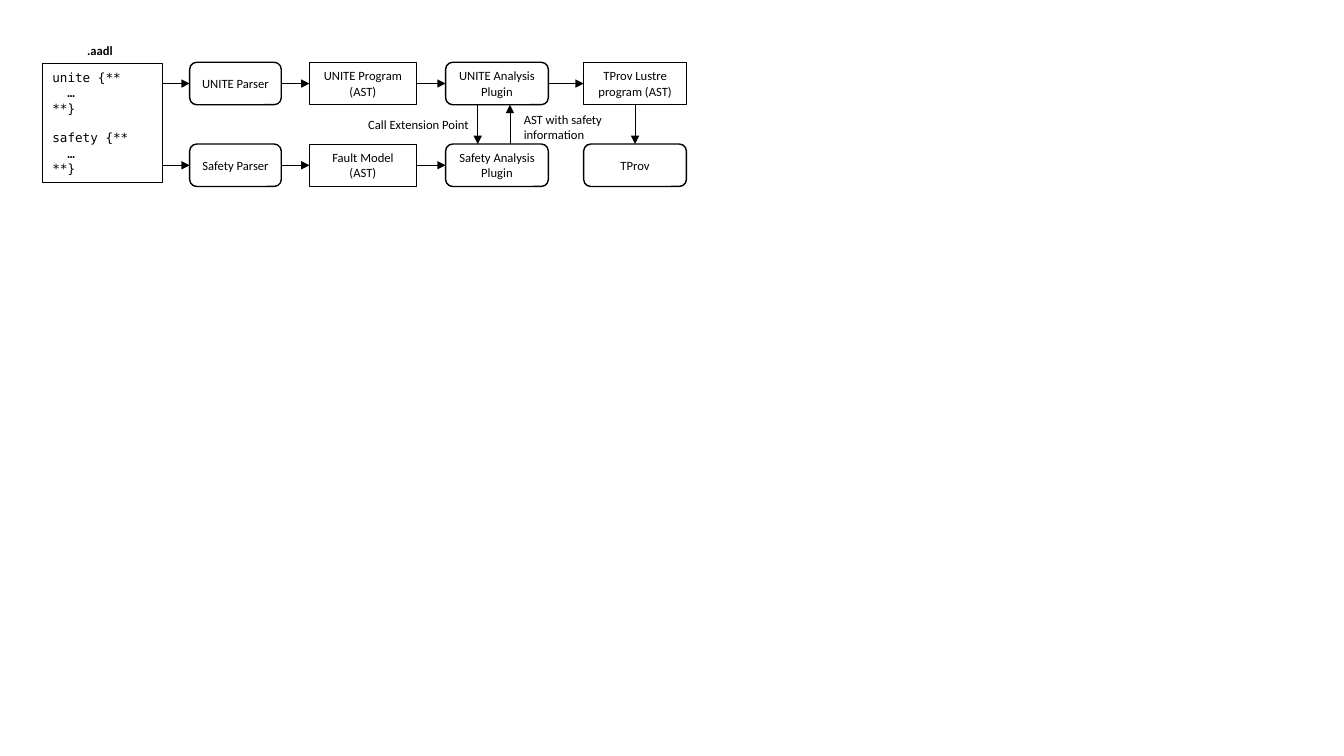
"""Builds the tool flow slide from the .aadl file to the TProv checker."""
from dataclasses import dataclass
from itertools import pairwise

from lxml import etree
from pptx import Presentation
from pptx.dml.color import RGBColor
from pptx.enum.shapes import MSO_CONNECTOR, MSO_SHAPE
from pptx.enum.text import MSO_ANCHOR, MSO_AUTO_SIZE, PP_ALIGN
from pptx.oxml.ns import qn
from pptx.shapes.autoshape import Shape
from pptx.shapes.connector import Connector
from pptx.slide import Slide
from pptx.text.text import TextFrame
from pptx.util import Cm, Pt

RECTANGLE, ROUNDED = MSO_SHAPE.RECTANGLE, MSO_SHAPE.ROUNDED_RECTANGLE
STRAIGHT = MSO_CONNECTOR.STRAIGHT
MIDDLE, TOP = MSO_ANCHOR.MIDDLE, MSO_ANCHOR.TOP
LEFT, CENTER, RIGHT = PP_ALIGN.LEFT, PP_ALIGN.CENTER, PP_ALIGN.RIGHT
FIT_TEXT = MSO_AUTO_SIZE.SHAPE_TO_FIT_TEXT
TOP_SITE, LEFT_SITE, BOTTOM_SITE, RIGHT_SITE = range(4)


@dataclass(frozen=True)
class Theme:
    ink: RGBColor = RGBColor(0, 0, 0)
    body_font: str = "Calibri"
    code_font: str = "DejaVu Sans Mono"
    text_size: Pt = Pt(9)
    thin: Pt = Pt(0.5)
    thick: Pt = Pt(1)
    code_indent: Pt = Pt(10.8)
    code_gap: Pt = Pt(10.5)


@dataclass(frozen=True)
class Column:
    left: float
    width: float


@dataclass(frozen=True)
class Step:
    text: str
    column: Column
    is_tool: bool


@dataclass(frozen=True)
class Label:
    text: str
    left: float
    top: float
    width: float
    height: float
    align: PP_ALIGN
    bold: bool = False


@dataclass(frozen=True)
class CodeLine:
    text: str
    indented: bool = False
    starts_block: bool = False


THEME = Theme()
SOURCE_LEFT, SOURCE_TOP, SOURCE_WIDTH, SOURCE_HEIGHT = 1.07, 1.6, 3.02, 3.0
STEP_HEIGHT = 1.07
UNITE_TOP, SAFETY_TOP = 1.57, 3.63
PARSER, MODEL = Column(4.78, 2.31), Column(7.8, 2.69)
PLUGIN, CHECKER = Column(11.23, 2.59), Column(14.71, 2.59)
CALL_X, RETURN_X = 12.04, 12.85

UNITE_STEPS = [
    Step("UNITE Parser", PARSER, True),
    Step("UNITE Program (AST)", MODEL, False),
    Step("UNITE Analysis Plugin", PLUGIN, True),
    Step("TProv Lustre program (AST)", CHECKER, False),
]
SAFETY_STEPS = [
    Step("Safety Parser", PARSER, True),
    Step("Fault Model (AST)", MODEL, False),
    Step("Safety Analysis Plugin", PLUGIN, True),
]
TPROV = Step("TProv", CHECKER, True)
LABELS = [
    Label(".aadl", 1.07, 0.95, 2.9, 0.64, CENTER, True),
    Label("Call Extension Point", 8.76, 2.83, 3.3, 0.64, RIGHT),
    Label("AST with safety information", 12.95, 2.69, 3.45, 1.02, LEFT),
]
CODE = [
    CodeLine("unite {**"),
    CodeLine("…", indented=True),
    CodeLine("**}"),
    CodeLine("safety {**", starts_block=True),
    CodeLine("…", indented=True),
    CodeLine("**}"),
]


def apply(target: object, values: dict[str, object]) -> None:
    for name, value in values.items():
        setattr(target, name, value)


def write(frame: TextFrame, lines: list[str], align: PP_ALIGN, font: str, bold: bool = False) -> None:
    for index, line in enumerate(lines):
        para = frame.add_paragraph() if index else frame.paragraphs[0]
        para.alignment = align
        span = para.add_run()
        span.text = line
        apply(span.font, {"name": font, "size": THEME.text_size, "bold": bold})
        span.font.color.rgb = THEME.ink


def add_box(page: Slide, column: Column, top: float, height: float, is_tool: bool) -> Shape:
    box = page.shapes.add_shape(
        ROUNDED if is_tool else RECTANGLE,
        Cm(column.left), Cm(top), Cm(column.width), Cm(height),
    )
    box.shadow.inherit = False
    box.fill.background()
    box.line.color.rgb = THEME.ink
    box.line.width = THEME.thick if is_tool else THEME.thin
    apply(box.text_frame, {"word_wrap": True, "vertical_anchor": MIDDLE})
    if is_tool:
        apply(box.text_frame, {"margin_left": 0, "margin_right": 0})
    return box


def add_step(page: Slide, step: Step, top: float) -> Shape:
    box = add_box(page, step.column, top, STEP_HEIGHT, step.is_tool)
    write(box.text_frame, [step.text], CENTER, THEME.body_font)
    return box


def add_source(page: Slide) -> None:
    box = add_box(page, Column(SOURCE_LEFT, SOURCE_WIDTH), SOURCE_TOP, SOURCE_HEIGHT, False)
    write(box.text_frame, [line.text for line in CODE], LEFT, THEME.code_font)
    for para, line in zip(box.text_frame.paragraphs, CODE):
        if line.indented:
            para._p.get_or_add_pPr().set("marL", str(int(THEME.code_indent)))
        if line.starts_block:
            para.space_before = THEME.code_gap


def add_label(page: Slide, label: Label) -> None:
    box = page.shapes.add_textbox(Cm(label.left), Cm(label.top), Cm(label.width), Cm(label.height))
    apply(box.text_frame, {"word_wrap": True, "auto_size": FIT_TEXT, "vertical_anchor": TOP})
    write(box.text_frame, [label.text], label.align, THEME.body_font, label.bold)


def add_arrow(page: Slide, start: tuple[float, float] = (0, 0), end: tuple[float, float] = (0, 0)) -> Connector:
    arrow = page.shapes.add_connector(STRAIGHT, *map(Cm, start + end))
    arrow.line.color.rgb = THEME.ink
    arrow.line.width = THEME.thin
    etree.SubElement(arrow.line._get_or_add_ln(), qn("a:tailEnd"), type="triangle")
    etree.SubElement(arrow._element.spPr, qn("a:effectLst"))
    return arrow


def link(page: Slide, first: Shape, first_site: int, second: Shape, second_site: int) -> None:
    arrow = add_arrow(page)
    arrow.begin_connect(first, first_site)
    arrow.end_connect(second, second_site)


def add_row(page: Slide, steps: list[Step], top: float) -> list[Shape]:
    boxes = [add_step(page, step, top) for step in steps]
    middle = top + STEP_HEIGHT / 2
    entry = add_arrow(page, (SOURCE_LEFT + SOURCE_WIDTH, middle), (PARSER.left, middle))
    entry.end_connect(boxes[0], LEFT_SITE)
    for first, second in pairwise(boxes):
        link(page, first, RIGHT_SITE, second, LEFT_SITE)
    return boxes


def main() -> None:
    deck = Presentation()
    apply(deck, {"slide_width": Cm(33.87), "slide_height": Cm(19.05)})
    page = deck.slides.add_slide(deck.slide_layouts[6])
    add_source(page)
    unite_boxes = add_row(page, UNITE_STEPS, UNITE_TOP)
    add_row(page, SAFETY_STEPS, SAFETY_TOP)
    link(page, unite_boxes[-1], BOTTOM_SITE, add_step(page, TPROV, SAFETY_TOP), TOP_SITE)
    unite_bottom = UNITE_TOP + STEP_HEIGHT
    add_arrow(page, (CALL_X, unite_bottom), (CALL_X, SAFETY_TOP))
    add_arrow(page, (RETURN_X, SAFETY_TOP), (RETURN_X, unite_bottom))
    for label in LABELS:
        add_label(page, label)
    deck.save("out.pptx")


main()
